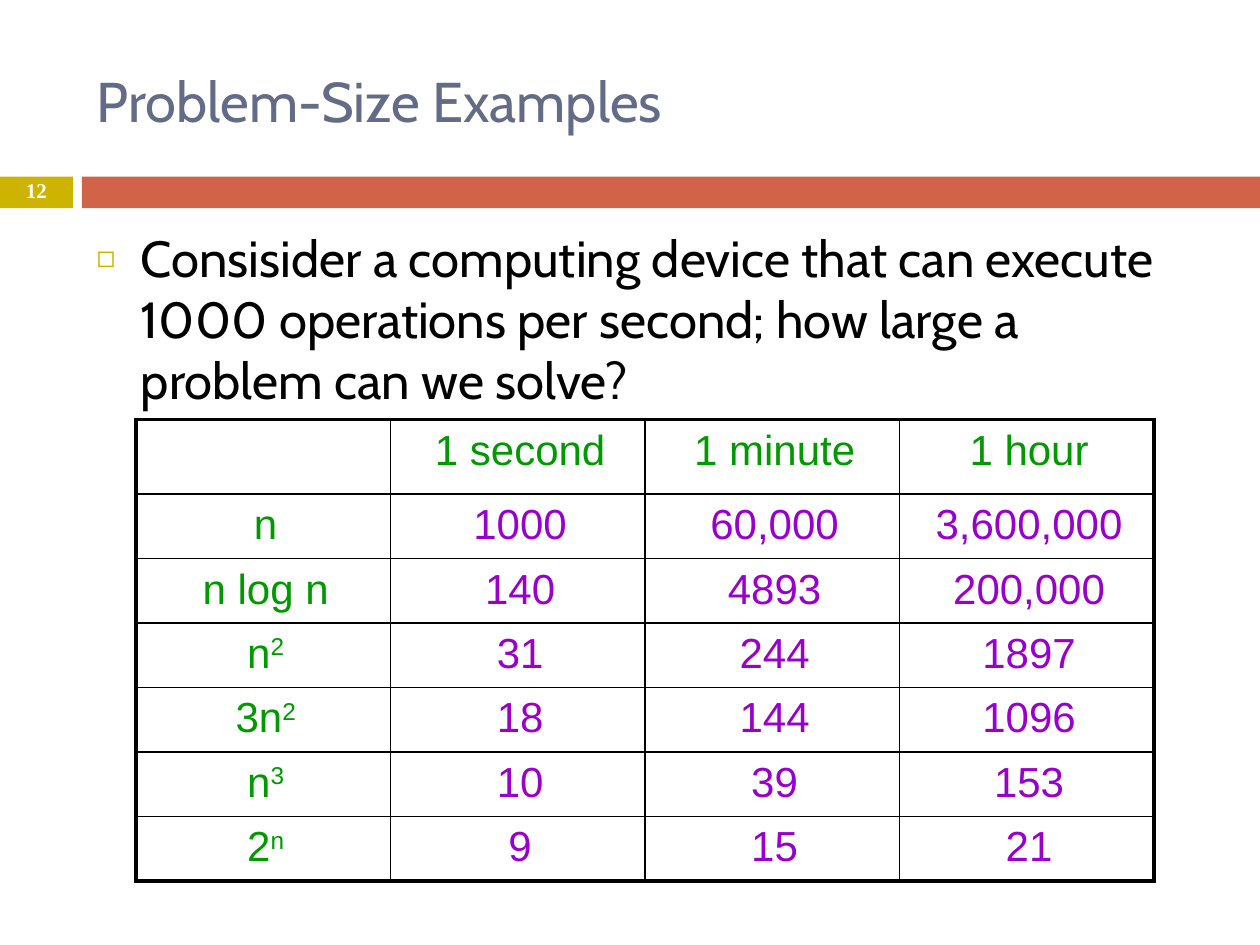
from lxml import etree
from pptx import Presentation
from pptx import util as u
from pptx.dml.color import RGBColor
from pptx.enum import shapes, text
from pptx.oxml.ns import qn

TITLE = "Problem-Size Examples"
PAGE_NUMBER = "12"
QUESTION = ("Consisider a computing device that can execute 1000 operations "
            "per second; how large a problem can we solve?")
TIMES = ["1 second", "1 minute", "1 hour"]
# (base, exponent) of the running time, then the solvable size for each time
SIZES = [
    (("n", ""), "1000", "60,000", "3,600,000"),
    (("n log n", ""), "140", "4893", "200,000"),
    (("n", "2"), "31", "244", "1897"),
    (("3n", "2"), "18", "144", "1096"),
    (("n", "3"), "10", "39", "153"),
    (("2", "n"), "9", "15", "21"),
]

SLATE = RGBColor(0x64, 0x6B, 0x86)
OLIVE = RGBColor(0xCC, 0xB4, 0x00)
BRICK = RGBColor(0xD1, 0x63, 0x49)
GREEN = RGBColor(0x00, 0x99, 0x00)
PURPLE = RGBColor(0x99, 0x00, 0xCC)
BLACK = RGBColor(0, 0, 0)
WHITE = RGBColor(255, 255, 255)

BAND_TOP, BAND_HEIGHT = 3.56, 0.64
NUMBER_WIDTH, BAND_LEFT = 1.47, 1.65
PAGE_WIDTH, PAGE_HEIGHT = 25.4, 19.05
COLUMN_WIDTH, HEADER_HEIGHT, ROW_HEIGHT = 5.13, 1.5, 1.3
THIN, THICK = 1, 2.25


def style(para, font, size, color, bold=False):
    para.font.name = font
    para.font.size = u.Pt(size)
    para.font.color.rgb = color
    para.font.bold = bold


def place(shape, left, top, width, height):
    shape.left, shape.top = u.Cm(left), u.Cm(top)
    shape.width, shape.height = u.Cm(width), u.Cm(height)


def fill_placeholder(box, words, anchor):
    frame = box.text_frame
    frame.text = words
    frame.auto_size = text.MSO_AUTO_SIZE.NONE
    frame.vertical_anchor = anchor
    frame.margin_left, frame.margin_right = u.Cm(0.25), u.Cm(0.36)
    frame.margin_top = frame.margin_bottom = u.Cm(0.13)
    para = frame.paragraphs[0]
    para.alignment = text.PP_ALIGN.LEFT
    return para


def add_band(page, left, width, color):
    band = page.shapes.add_shape(
        shapes.MSO_SHAPE.RECTANGLE, u.Cm(left), u.Cm(BAND_TOP),
        u.Cm(width), u.Cm(BAND_HEIGHT))
    band.shadow.inherit = False
    band.fill.solid()
    band.fill.fore_color.rgb = color
    band.line.fill.background()
    return band


def add_bullet(para, char, color, percent):
    props = para._p.get_or_add_pPr()
    props.set("marL", str(u.Cm(0.89)))
    props.set("indent", str(-u.Cm(0.89)))
    tint = etree.SubElement(props, qn("a:buClr"))
    etree.SubElement(tint, qn("a:srgbClr"), val=str(color))
    etree.SubElement(props, qn("a:buSzPct"), val=str(percent * 1000))
    etree.SubElement(props, qn("a:buChar"), char=char)


def set_borders(cell, widths):
    """Draw black borders; widths are points for left, right, top, bottom."""
    props = cell._tc.get_or_add_tcPr()
    for index, (side, width) in enumerate(zip("LRTB", widths)):
        line = etree.Element(qn(f"a:ln{side}"), w=str(u.Pt(width)))
        solid = etree.SubElement(line, qn("a:solidFill"))
        etree.SubElement(solid, qn("a:srgbClr"), val=str(BLACK))
        props.insert(index, line)


def write_cell(cell, base, exponent, color):
    para = cell.text_frame.paragraphs[0]
    para.alignment = text.PP_ALIGN.CENTER
    para._p.get_or_add_pPr().set("marL", str(u.Cm(0.1)))
    style(para, "Arial", 24, color)
    para.add_run().text = base
    if exponent:
        span = para.add_run()
        span.text = exponent
        span.font._element.set("baseline", "30000")


def add_size_table(page):
    rows = [[("", "")] + [(time, "") for time in TIMES]]
    rows += [[label] + [(size, "") for size in sizes] for label, *sizes in SIZES]
    last_row, last_column = len(rows) - 1, len(TIMES)
    table = page.shapes.add_table(
        len(rows), last_column + 1, u.Cm(2.74), u.Cm(8.46),
        u.Cm(COLUMN_WIDTH * (last_column + 1)),
        u.Cm(HEADER_HEIGHT + ROW_HEIGHT * last_row)).table
    table.first_row = table.horz_banding = False
    for column in table.columns:
        column.width = u.Cm(COLUMN_WIDTH)
    for r, row in enumerate(rows):
        table.rows[r].height = u.Cm(ROW_HEIGHT if r else HEADER_HEIGHT)
        for c, (base, exponent) in enumerate(row):
            cell = table.cell(r, c)
            cell.fill.background()
            cell.margin_left = cell.margin_right = u.Cm(0.15)
            cell.margin_top = cell.margin_bottom = u.Cm(0.15)
            if base:
                write_cell(cell, base, exponent, PURPLE if r and c else GREEN)
            outer = (c == 0, c == last_column, r == 0, r == last_row)
            set_borders(cell, [THICK if edge else THIN for edge in outer])


def main():
    deck = Presentation()
    deck.slide_width, deck.slide_height = u.Cm(PAGE_WIDTH), u.Cm(PAGE_HEIGHT)
    page = deck.slides.add_slide(deck.slide_layouts[1])

    title, body = page.placeholders
    place(title, 1.7, 0.64, 22.66, 2.74)
    para = fill_placeholder(title, TITLE, text.MSO_ANCHOR.MIDDLE)
    style(para, "Cabin", 32, SLATE)

    place(body, 1.7, 4.45, 22.66, 12.5)
    para = fill_placeholder(body, QUESTION, text.MSO_ANCHOR.TOP)
    add_bullet(para, "◻", OLIVE, 60)
    para.space_before = u.Pt(7)
    style(para, "Cabin", 29, BLACK)

    number = add_band(page, 0, NUMBER_WIDTH, OLIVE)
    add_band(page, BAND_LEFT, PAGE_WIDTH - BAND_LEFT, BRICK)
    frame = number.text_frame
    frame.text = PAGE_NUMBER
    frame.vertical_anchor = text.MSO_ANCHOR.MIDDLE
    frame.margin_top = frame.margin_bottom = 0
    para = frame.paragraphs[0]
    para.alignment = text.PP_ALIGN.CENTER
    para.line_spacing = 0.8
    style(para, "Times New Roman", 12, WHITE, bold=True)

    add_size_table(page)
    deck.save("out.pptx")


if __name__ == "__main__":
    main()
